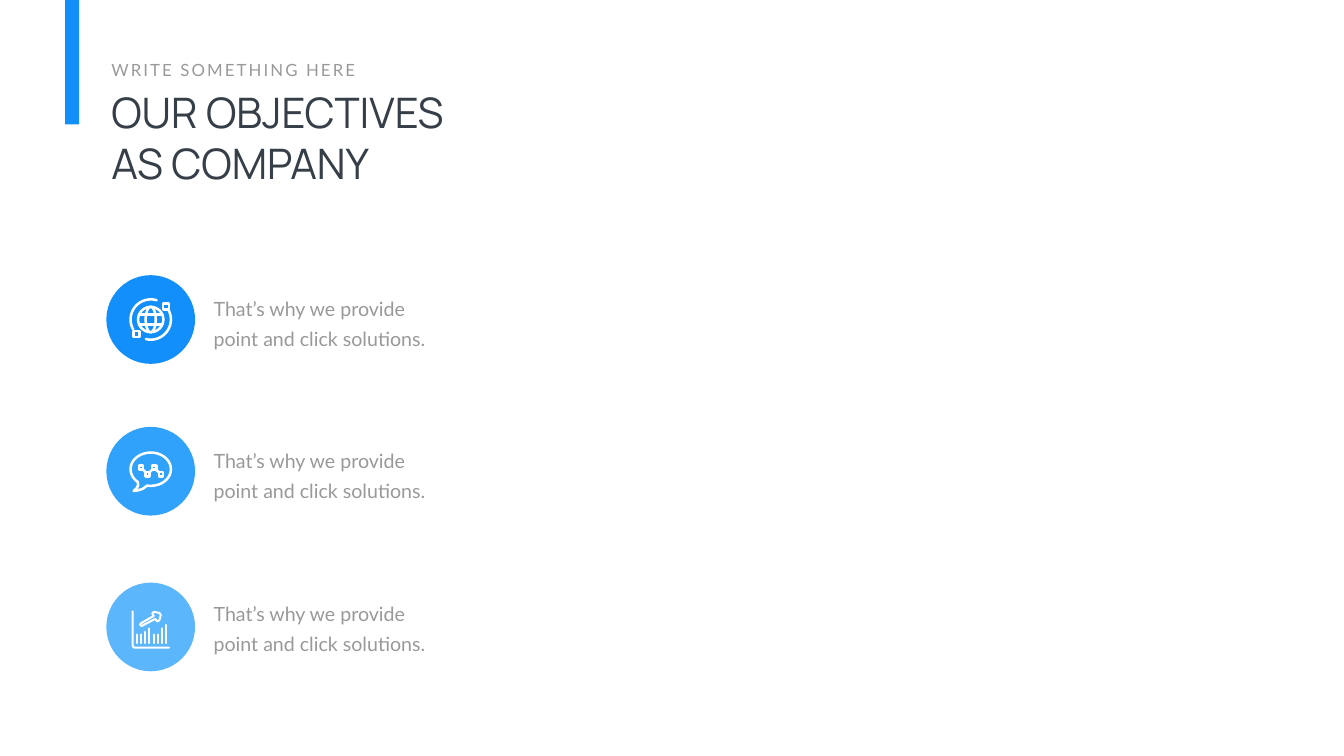
from math import cos, radians, sin

from pptx import Presentation
from pptx import util as u
from pptx.dml.color import RGBColor
from pptx.enum import shapes, text
from pptx.oxml.ns import qn
from lxml import etree

PX = 9144
WHITE, DARK, GREY, BLUE = "FFFFFF", "363E48", "999999", "138FFB"
RECT, OVAL = shapes.MSO_SHAPE.RECTANGLE, shapes.MSO_SHAPE.OVAL


def px(n):
    """Turn px into EMU."""
    return u.Emu(round(n * PX))


def color(value):
    """Turn a hex string into a colour."""
    return RGBColor.from_string(value)


def add_block(parts, kind, x, y, w, h, fill):
    """Add a filled preset shape without an outline."""
    sp = parts.add_shape(kind, px(x), px(y), px(w), px(h))
    sp.shadow.inherit = False
    sp.fill.solid()
    sp.fill.fore_color.rgb = color(fill)
    sp.line.fill.background()


def add_label(parts, x, y, w, h, words, font, size, ink, wrap=True, leading=None, tracking=None):
    """Add a one-paragraph text box."""
    tf = parts.add_textbox(px(x), px(y), px(w), px(h)).text_frame
    tf.word_wrap = wrap
    tf.auto_size = text.MSO_AUTO_SIZE.SHAPE_TO_FIT_TEXT
    p = tf.paragraphs[0]
    p.text = words
    if leading:
        p.line_spacing = u.Pt(leading)
    r = p.runs[0]
    r.font.name, r.font.size = font, u.Pt(size)
    r.font.color.rgb = color(ink)
    if tracking:
        r.font._element.set("spc", str(tracking * 100))


def arc(cx, cy, rx, ry, start, end):
    """List points along an elliptical arc, angles in degrees."""
    steps = max(8, round(abs(end - start) / 6))
    angles = [radians(start + (end - start) * i / steps) for i in range(steps + 1)]
    return [(cx + rx * cos(a), cy + ry * sin(a)) for a in angles]


def square(cx, cy, half):
    """List the corners of a closed square around a centre."""
    signs = [(-1, -1), (1, -1), (1, 1), (-1, 1), (-1, -1)]
    return [(cx + half * i, cy + half * j) for i, j in signs]


def add_strokes(parts, x, y, paths, weight):
    """Draw white round-ended strokes as one freeform."""
    placed = [[(px(x + a), px(y + b)) for a, b in path] for path in paths]
    builder = parts.build_freeform(*placed[0][0], scale=1.0)
    for i, path in enumerate(placed):
        if i:
            builder.move_to(*path[0])
        builder.add_line_segments(path[1:], close=path[0] == path[-1])
    sp = builder.convert_to_shape()
    sp.shadow.inherit = False
    sp.fill.background()
    sp.line.color.rgb = color(WHITE)
    sp.line.width = px(weight)
    ln = sp.line._get_or_add_ln()
    ln.set("cap", "rnd")
    etree.SubElement(ln, qn("a:round"))


def add_globe(parts, x, y):
    """Draw a globe inside an orbit with two satellites."""
    globe = [arc(88, 88, rx, 25, 0, 360) for rx in (25, 10)]
    globe += [[(65, row), (111, row)] for row in (78, 98)]
    add_strokes(parts, x, y, globe, 5)
    add_strokes(parts, x, y, [arc(88, 88, 40, 40, -28, 104), square(118, 62, 6)], 5)
    add_strokes(parts, x, y, [arc(88, 88, 40, 40, -73, -210), square(60, 117, 6)], 5)


def add_chat(parts, x, y):
    """Draw a speech bubble holding a zigzag of nodes."""
    bubble = arc(88, 84, 40, 33, 130, 460)
    tail = [(72, 123), (63, 126), (54, 127), (60, 122), (63, 116)]
    add_strokes(parts, x, y, [bubble + tail + bubble[:1]], 5)
    nodes = [(69 + 13 * i, 81 + 13 * (i % 2)) for i in range(4)]
    zigzag = [square(a, b, 4) for a, b in nodes]
    for (a, b), (c, d) in zip(nodes, nodes[1:]):
        step = 4 if d > b else -4
        zigzag.append([(a + 4, b + step), (c - 4, d - step)])
    add_strokes(parts, x, y, zigzag, 5)


def add_growth(parts, x, y):
    """Draw axes, columns and a rising arrow."""
    axes = [(52, 57), (52, 124)] + arc(57, 124, 5, 5, 180, 90) + [(124, 129)]
    add_strokes(parts, x, y, [axes], 4)
    tops = [103, 103, 98, 91, 103, 103, 91, 84]
    columns = [[(61 + 57 * i / 7, top), (61 + 57 * i / 7, 120)] for i, top in enumerate(tops)]
    add_strokes(parts, x, y, columns, 4)
    arrow = [(70, 86), (97, 72), (101, 77), (105, 75), (108, 64), (105, 60),
             (94, 58), (91, 61), (94, 66), (68, 81), (67, 84), (70, 86)]
    add_strokes(parts, x, y, [arrow], 4)


def add_heading(s, x, y):
    """Place the accent bar, kicker and title."""
    add_block(s.shapes, RECT, x - 82, 0, 28, 247, BLUE)
    parts = s.shapes.add_group_shape().shapes
    add_label(parts, x, y + 54, 776, 212, "OUR OBJECTIVES AS COMPANY", "Manrope", 60, DARK)
    add_label(parts, x, y, 514, 50, "WRITE SOMETHING HERE", "Lato", 24, GREY, wrap=False, tracking=3)


def add_objective(parts, x, y, fill, draw_icon, drop):
    """Place one objective: disc, icon and sentence."""
    add_block(parts, OVAL, x, y, 176, 176, fill)
    draw_icon(parts, x, y)
    add_label(parts, x + 203, y + drop, 460, 125,
              "That’s why we provide point and click solutions.", "Lato", 28, GREY, leading=43)


def main():
    """Build and save the slide."""
    prs = Presentation()
    prs.slide_width, prs.slide_height = px(2666), px(1500)
    s = prs.slides.add_slide(prs.slide_layouts[6])
    add_heading(s, 211, 113)
    parts = s.shapes.add_group_shape().shapes
    objectives = [(546, BLUE, add_globe, 25), (847, "30A2FB", add_chat, 26),
                  (1156, "5BB6FB", add_growth, 20)]
    for y, fill, draw_icon, drop in objectives:
        add_objective(parts, 211, y, fill, draw_icon, drop)
    prs.save("out.pptx")


if __name__ == "__main__":
    main()
